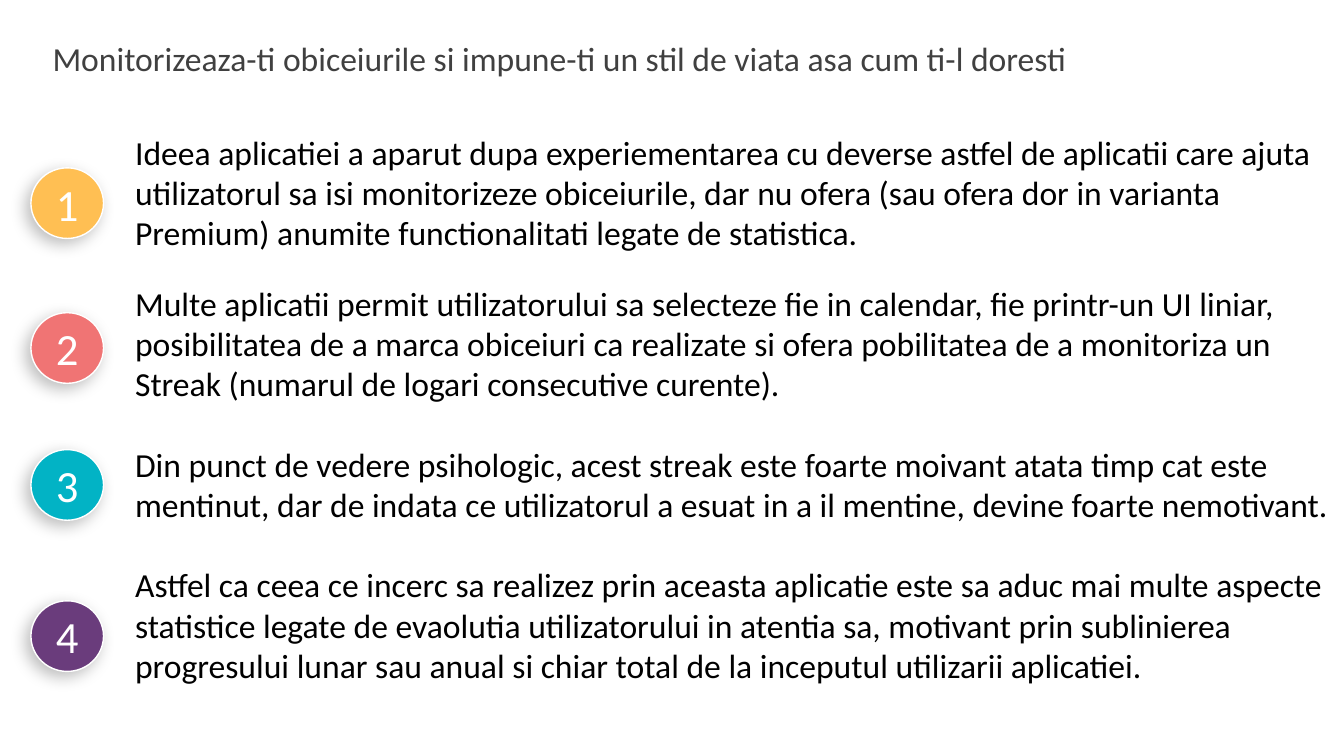
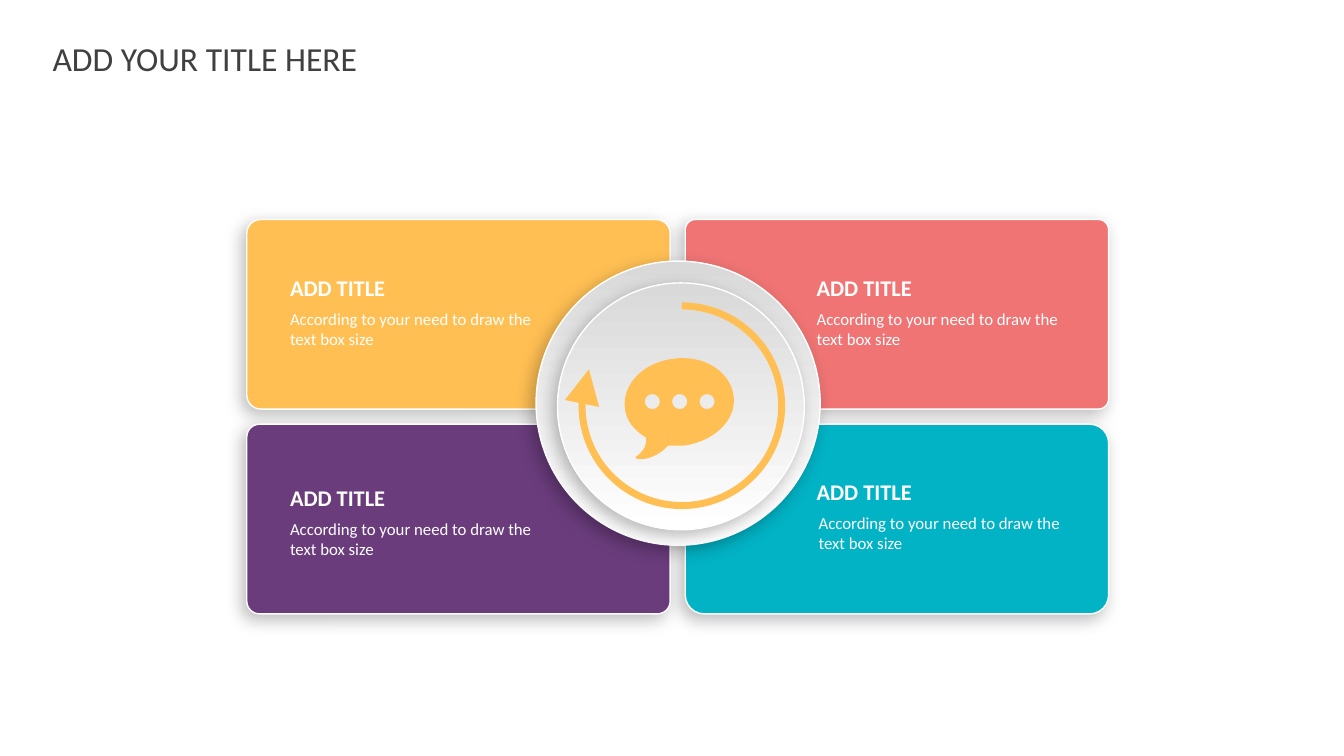
from dataclasses import dataclass

from lxml import etree
from pptx import Presentation
from pptx import util as u
from pptx.dml.color import RGBColor
from pptx.enum import shapes, text
from pptx.oxml import ns


@dataclass(frozen=True)
class Theme:
    font: str = "Calibri"
    white: str = "FFFFFF"
    black: str = "000000"
    grey: str = "D9D9D9"
    title: str = "404040"
    yellow: str = "FFBF53"
    red: str = "F07474"
    teal: str = "02B3C5"
    purple: str = "6A3C7C"
    heading_size: float = 24
    badge_size: float = 31.9
    caption_size: float = 16
    detail_size: float = 12
    outline: float = 1
    arrow: float = 5


THEME = Theme()
SLIDE_SIZE = (33.87, 19.05)
TITLE_BOX = (1.07, 0.83, 27.08, 1.27)
LIST_BOX = (3.15, 3.19, 30.72, 14.35)
BADGE_LEFT, BADGE_SIZE = 0.78, (1.83, 1.78)

# Text, space before in points, badge top in cm, badge colour
REASONS = [
    ("Ideea aplicatiei a aparut dupa experiementarea cu deverse astfel de aplicatii "
     "care ajuta utilizatorul sa isi monitorizeze obiceiurile, dar nu ofera (sau ofera "
     "dor in varianta Premium) anumite functionalitati legate de statistica.",
     0, 4.23, THEME.yellow),
    ("Multe aplicatii permit utilizatorului sa selecteze fie in calendar, fie printr-un "
     "UI liniar, posibilitatea de a marca obiceiuri ca realizate si ofera pobilitatea "
     "de a monitoriza un Streak (numarul de logari consecutive curente).",
     21.5, 7.88, THEME.red),
    ("Din punct de vedere psihologic, acest streak este foarte moivant atata timp cat "
     "este mentinut, dar de indata ce utilizatorul a esuat in a il mentine, devine "
     "foarte nemotivant.",
     28.6, 11.33, THEME.teal),
    ("Astfel ca ceea ce incerc sa realizez prin aceasta aplicatie este sa aduc mai multe "
     "aspecte statistice legate de evaolutia utilizatorului in atentia sa, motivant prin "
     "sublinierea progresului lunar sau anual si chiar total de la inceputul utilizarii "
     "aplicatiei.",
     28.6, 15.14, THEME.purple),
]

GRID_LEFT, GRID_TOP, CARD_WIDTH, CARD_HEIGHT, CARD_GAP = 6.22, 5.53, 10.67, 4.78, 0.38
# Colour, corner radius, caption offset in the card, indent of the detail text
CARDS = [
    (THEME.yellow, 0.074, (1.09, 1.38), 0),
    (THEME.red, 0.054, (3.31, 1.38), 0),
    (THEME.purple, 0.067, (1.09, 1.52), 0),
    (THEME.teal, 0.1, (3.31, 1.36), 0.05),
]
HUB_BOX = (13.51, 6.58, 7.16, 7.16)

# Start point, then two control points and an end point for each curve
BUBBLE_OUTLINE = [
    (2.82, 1.04),
    (2.74, 0.43), (2.08, 0), (1.32, 0.1),
    (0.56, 0.18), (0, 0.74), (0.08, 1.35),
    (0.1, 1.65), (0.33, 1.93), (0.61, 2.08),
    (0.64, 2.24), (0.58, 2.41), (0.36, 2.57),
    (0.25, 2.64), (0.74, 2.74), (1.17, 2.29),
    (1.3, 2.29), (1.45, 2.29), (1.57, 2.29),
    (2.34, 2.18), (2.9, 1.63), (2.82, 1.04),
]
# The same for a circle of radius 1
CIRCLE_OUTLINE = [
    (0, 1),
    (-0.55, 1), (-1, 0.55), (-1, 0),
    (-1, -0.55), (-0.55, -1), (0, -1),
    (0.55, -1), (1, -0.55), (1, 0),
    (1, 0.55), (0.55, 1), (0, 1),
]


def set_values(target, values):
    for name, value in values.items():
        setattr(target, name, value)


def rgb(colour):
    return RGBColor.from_string(colour)


def cm(values):
    return [u.Cm(value) for value in values]


def add_node(parent, tag, **attributes):
    return etree.SubElement(parent, ns.qn(tag), attributes)


def place(shape, box):
    set_values(shape, dict(zip(("left", "top", "width", "height"), cm(box))))


def format_frame(frame, inset=None, **values):
    set_values(frame, {"word_wrap": True, "auto_size": text.MSO_AUTO_SIZE.NONE,
                       "vertical_anchor": text.MSO_ANCHOR.TOP, **values})
    if inset is not None:
        sides = ("left", "top", "right", "bottom")
        set_values(frame, {f"margin_{side}": u.Cm(inset) for side in sides})


def write(para, words, size, colour, bold=False, align=text.PP_ALIGN.LEFT, before=0):
    set_values(para, {"alignment": align, "space_before": u.Pt(before)})
    span = para.add_run()
    span.text = words
    set_values(span.font, {"name": THEME.font, "size": u.Pt(size), "bold": bold})
    span.font.color.rgb = rgb(colour)


def add_shadow(shape):
    effects = add_node(shape._element.spPr, "a:effectLst")
    shadow = add_node(effects, "a:outerShdw", blurRad=str(u.Pt(12)), dist=str(u.Pt(5)),
                      dir=str(135 * 60000), algn="tr", rotWithShape="0")
    colour = add_node(shadow, "a:srgbClr", val=THEME.black)
    add_node(colour, "a:alpha", val="26000")


def add_raised(page, kind, box, colour=None):
    """Add a white-edged shape with a soft shadow; without a colour it is a grey gradient."""
    shape = page.shapes.add_shape(kind, *cm(box))
    if colour:
        shape.fill.solid()
        shape.fill.fore_color.rgb = rgb(colour)
    else:
        shape.fill.gradient()
        shape.fill.gradient_angle = 90
        for stop, shade in zip(shape.fill.gradient_stops, (THEME.white, THEME.grey)):
            stop.color.rgb = rgb(shade)
    shape.line.color.rgb = rgb(THEME.white)
    shape.line.width = u.Pt(THEME.outline)
    add_shadow(shape)
    return shape


def add_page(deck, layout_index, heading):
    page = deck.slides.add_slide(deck.slide_layouts[layout_index])
    title = page.shapes.title
    place(title, TITLE_BOX)
    format_frame(title.text_frame)
    write(title.text_frame.paragraphs[0], heading, THEME.heading_size, THEME.title)
    return page


def add_reasons(page, box):
    body = page.placeholders[1]
    place(body, box)
    frame = body.text_frame
    format_frame(frame, margin_right=0)
    for index, (words, before, _, _) in enumerate(REASONS):
        para = frame.add_paragraph() if index else frame.paragraphs[0]
        write(para, words, THEME.heading_size, THEME.black, before=before)
        properties = para._p.get_or_add_pPr()
        for name in ("marL", "indent"):
            properties.set(name, "0")
        add_node(properties, "a:buNone")


def add_badge(page, box, number, colour):
    badge = add_raised(page, shapes.MSO_SHAPE.OVAL, box, colour)
    format_frame(badge.text_frame, inset=0, vertical_anchor=text.MSO_ANCHOR.MIDDLE)
    write(badge.text_frame.paragraphs[0], str(number), THEME.badge_size, THEME.white,
          align=text.PP_ALIGN.CENTER)


def add_label(page, box, words, size, bold=False):
    label = page.shapes.add_textbox(*cm(box))
    format_frame(label.text_frame, inset=0)
    write(label.text_frame.paragraphs[0], words, size, THEME.white, bold)


def add_caption(page, left, top, indent):
    add_label(page, (left, top, 5.44, 0.69), "ADD TITLE", THEME.caption_size, True)
    add_label(page, (left + indent, top + 0.87, 6.48, 1.02),
              "According to your need to draw the text box size", THEME.detail_size)


def bend_lines(shape):
    """Turn every three line segments of a freeform into one cubic curve."""
    lines = list(shape._element.iter(ns.qn("a:lnTo")))
    for first, second, end in zip(lines[::3], lines[1::3], lines[2::3]):
        curve = etree.Element(ns.qn("a:cubicBezTo"))
        first.addprevious(curve)
        for line in (first, second, end):
            curve.append(line[0])
            line.getparent().remove(line)


def add_bubble(page, left, top):
    dots = [[(0.77 + 0.69 * column + 0.19 * x, 1.18 + 0.19 * y) for x, y in CIRCLE_OUTLINE]
            for column in range(3)]
    outlines = [[cm((left + x, top + y)) for x, y in points]
                for points in (BUBBLE_OUTLINE, *dots)]
    builder = page.shapes.build_freeform(*outlines[0][0])
    for index, outline in enumerate(outlines):
        if index:
            builder.move_to(*outline[0])
        builder.add_line_segments(outline[1:], close=True)
    bubble = builder.convert_to_shape()
    bend_lines(bubble)
    bubble.shadow.inherit = False
    bubble.fill.solid()
    bubble.fill.fore_color.rgb = rgb(THEME.yellow)
    bubble.line.fill.background()


def add_hub(page, box):
    left, top = box[:2]
    add_raised(page, shapes.MSO_SHAPE.OVAL, box)
    add_raised(page, shapes.MSO_SHAPE.OVAL, (left + 0.54, top + 0.55, 6.22, 6.22))
    arc = page.shapes.add_shape(shapes.MSO_SHAPE.ARC,
                                *cm((left + 1.16, top + 1.13, 5.03, 5.03)))
    arc.shadow.inherit = False
    for index, degrees in enumerate((270, 201.45)):
        arc.adjustments[index] = degrees * 0.6
    arc.fill.background()
    arc.line.color.rgb = rgb(THEME.yellow)
    arc.line.width = u.Pt(THEME.arrow)
    add_node(arc.line._get_or_add_ln(), "a:tailEnd", type="triangle", w="lg", len="lg")
    add_bubble(page, left + 2.16, top + 2.36)


def build_reasons_page(deck):
    page = add_page(deck, 1, "Monitorizeaza-ti obiceiurile si impune-ti un stil de viata "
                             "asa cum ti-l doresti")
    add_reasons(page, LIST_BOX)
    for number, (_, _, top, colour) in enumerate(REASONS, 1):
        add_badge(page, (BADGE_LEFT, top, *BADGE_SIZE), number, colour)


def build_cards_page(deck):
    page = add_page(deck, 5, "ADD YOUR TITLE HERE")
    captions = []
    for index, (colour, radius, (across, down), indent) in enumerate(CARDS):
        row, column = divmod(index, 2)
        left = GRID_LEFT + column * (CARD_WIDTH + CARD_GAP)
        top = GRID_TOP + row * (CARD_HEIGHT + CARD_GAP)
        card = add_raised(page, shapes.MSO_SHAPE.ROUNDED_RECTANGLE,
                          (left, top, CARD_WIDTH, CARD_HEIGHT), colour)
        card.adjustments[0] = radius
        captions.append((left + across, top + down, indent))
    add_hub(page, HUB_BOX)
    for caption in captions:
        add_caption(page, *caption)


def main():
    deck = Presentation()
    set_values(deck, dict(zip(("slide_width", "slide_height"), cm(SLIDE_SIZE))))
    build_reasons_page(deck)
    build_cards_page(deck)
    deck.save("out.pptx")


if __name__ == "__main__":
    main()
